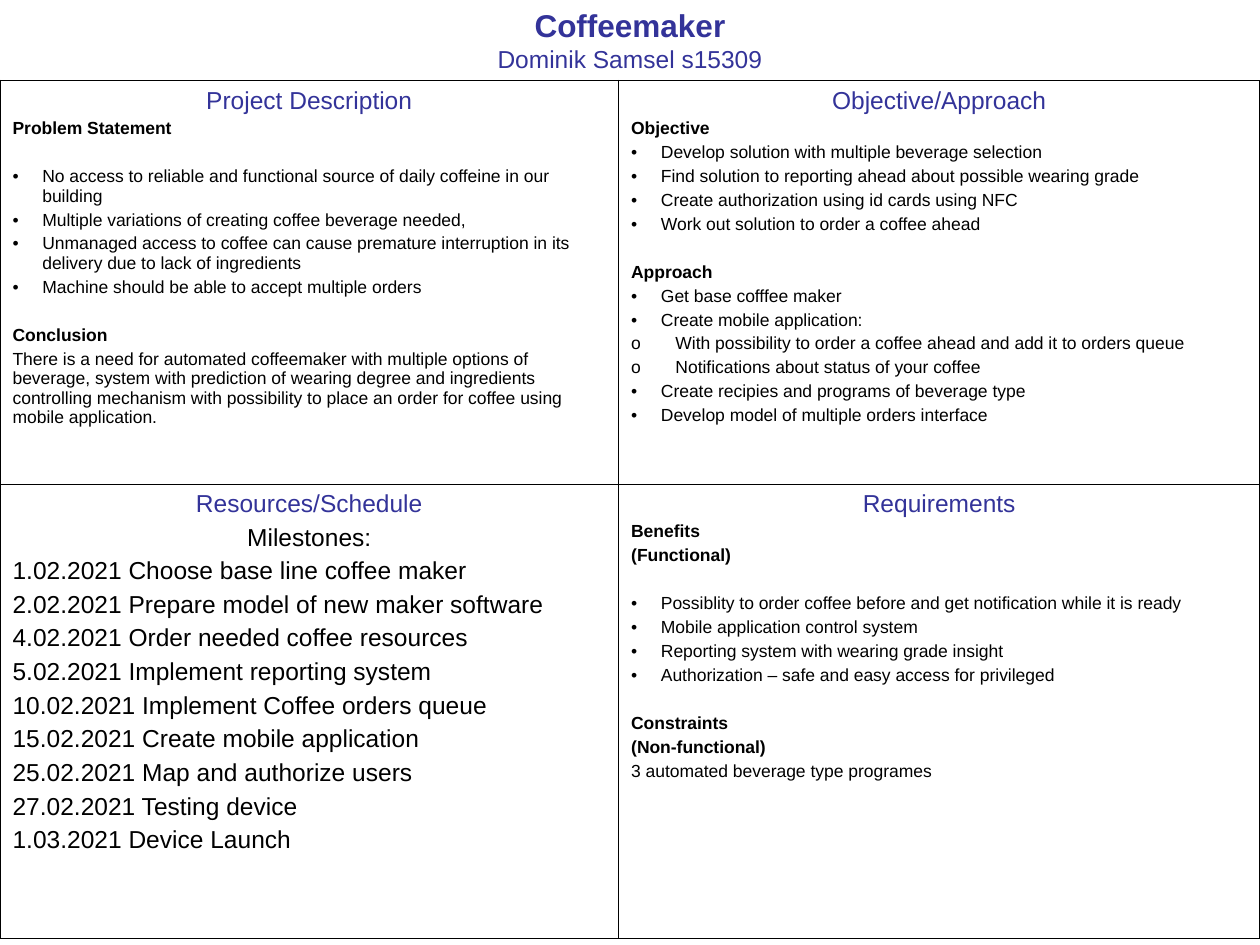
from lxml.etree import SubElement
from pptx import Presentation
from pptx.dml.color import RGBColor
from pptx.enum.text import MSO_AUTO_SIZE as AutoSize, PP_ALIGN as Align
from pptx.oxml.ns import qn
from pptx.util import Pt

COLORS = {"heading": "333399", "body": "000000", "border": "000000"}
FONT = "Arial"
LINE_GAP = 2.5
SECTION_GAP = 16.2
OUTER, INNER = 1.08, 0.45

# kind: size, bold, colour, alignment, space before
STYLES = {
    "title": (18, True, "heading", Align.CENTER, 0),
    "heading": (14, False, "heading", Align.CENTER, 0),
    "subheading": (14, False, "body", Align.CENTER, 3.5),
    "milestone": (14, False, "body", Align.LEFT, 3.5),
    "label": (10, True, "body", Align.LEFT, LINE_GAP),
    "section": (10, True, "body", Align.LEFT, SECTION_GAP),
    "text": (10, False, "body", Align.LEFT, LINE_GAP),
    "bullet": (10, False, "body", Align.LEFT, LINE_GAP),
    "first bullet": (10, False, "body", Align.LEFT, SECTION_GAP),
    "sub-bullet": (10, False, "body", Align.LEFT, LINE_GAP),
}
# kind: bullet character, hanging indent
BULLETS = {"bullet": ("•", 17), "first bullet": ("•", 17), "sub-bullet": ("o", 25.3)}

title = [("title", "Coffeemaker"), ("heading", "Dominik Samsel s15309")]

description = [
    ("heading", "Project Description"),
    ("label", "Problem Statement"),
    ("first bullet", "No access to reliable and functional source of daily coffeine in our building"),
    ("bullet", "Multiple variations of creating coffee beverage needed,"),
    ("bullet", "Unmanaged access to coffee can cause premature interruption in its "
               "delivery due to lack of ingredients"),
    ("bullet", "Machine should be able to accept multiple orders"),
    ("section", "Conclusion"),
    ("text", "There is a need for automated coffeemaker with multiple options of beverage, "
             "system with prediction of wearing degree and ingredients controlling mechanism "
             "with possibility to place an order for coffee using mobile application."),
]
approach = [
    ("heading", "Objective/Approach"),
    ("label", "Objective"),
    ("bullet", "Develop solution with multiple beverage selection"),
    ("bullet", "Find solution to reporting ahead about possible wearing grade"),
    ("bullet", "Create authorization using id cards using NFC"),
    ("bullet", "Work out solution to order a coffee ahead"),
    ("section", "Approach"),
    ("bullet", "Get base cofffee maker"),
    ("bullet", "Create mobile application:"),
    ("sub-bullet", "With possibility to order a coffee ahead and add it to orders queue"),
    ("sub-bullet", "Notifications about status of your coffee"),
    ("bullet", "Create recipies and programs of beverage type"),
    ("bullet", "Develop model of multiple orders interface"),
]
schedule = [
    ("heading", "Resources/Schedule"),
    ("subheading", "Milestones:"),
    ("milestone", "1.02.2021 Choose base line coffee maker"),
    ("milestone", "2.02.2021 Prepare model of new maker software"),
    ("milestone", "4.02.2021 Order needed coffee resources"),
    ("milestone", "5.02.2021 Implement reporting system"),
    ("milestone", "10.02.2021 Implement Coffee orders queue"),
    ("milestone", "15.02.2021 Create mobile application"),
    ("milestone", "25.02.2021 Map and authorize users"),
    ("milestone", "27.02.2021 Testing device"),
    ("milestone", "1.03.2021 Device Launch"),
]
requirements = [
    ("heading", "Requirements"),
    ("label", "Benefits"),
    ("label", "(Functional)"),
    ("first bullet", "Possiblity to order coffee before and get notification while it is ready"),
    ("bullet", "Mobile application control system"),
    ("bullet", "Reporting system with wearing grade insight"),
    ("bullet", "Authorization – safe and easy access for privileged"),
    ("section", "Constraints"),
    ("label", "(Non-functional)"),
    ("text", "3 automated beverage type programes"),
]
quadrants = [[description, approach], [schedule, requirements]]


def write(frame, lines):
    """Fill a text frame with (kind, text) lines."""
    for i, (kind, text) in enumerate(lines):
        size, bold, color, align, space = STYLES[kind]
        paragraph = frame.add_paragraph() if i else frame.paragraphs[0]
        paragraph.alignment = align
        paragraph.space_before = Pt(space)
        if kind in BULLETS:
            char, indent = BULLETS[kind]
            props = paragraph._p.get_or_add_pPr()
            props.set("marL", str(Pt(indent)))
            props.set("indent", str(-Pt(indent)))
            SubElement(props, qn("a:buFont"), typeface=FONT)
            SubElement(props, qn("a:buChar"), char=char)
        run = paragraph.add_run()
        run.text = text
        run.font.name = FONT
        run.font.size = Pt(size)
        run.font.bold = bold
        run.font.color.rgb = RGBColor.from_string(COLORS[color])


def add_border(cell, side, width):
    line = SubElement(cell._tc.get_or_add_tcPr(), qn(f"a:ln{side}"), w=str(Pt(width)))
    fill = SubElement(line, qn("a:solidFill"))
    SubElement(fill, qn("a:srgbClr"), val=COLORS["border"])


prs = Presentation()
prs.slide_width, prs.slide_height = Pt(720), Pt(540)
slide = prs.slides.add_slide(prs.slide_layouts[6])

title_frame = slide.shapes.add_textbox(Pt(102), Pt(0), Pt(516), Pt(46)).text_frame
title_frame.word_wrap = True
title_frame.auto_size = AutoSize.SHAPE_TO_FIT_TEXT
write(title_frame, title)

table = slide.shapes.add_table(2, 2, Pt(0), Pt(46.1), Pt(720), Pt(490.3)).table
table.first_row = table.horz_banding = False
for column, width in zip(table.columns, (353.5, 366.5)):
    column.width = Pt(width)
for row, height in zip(table.rows, (230.4, 259.9)):
    row.height = Pt(height)

for r, row_lines in enumerate(quadrants):
    for c, lines in enumerate(row_lines):
        cell = table.cell(r, c)
        outer_sides = "LR"[c] + "TB"[r]
        for side in "LRTB":
            add_border(cell, side, OUTER if side in outer_sides else INNER)
        cell.fill.background()
        write(cell.text_frame, lines)

prs.save("out.pptx")
